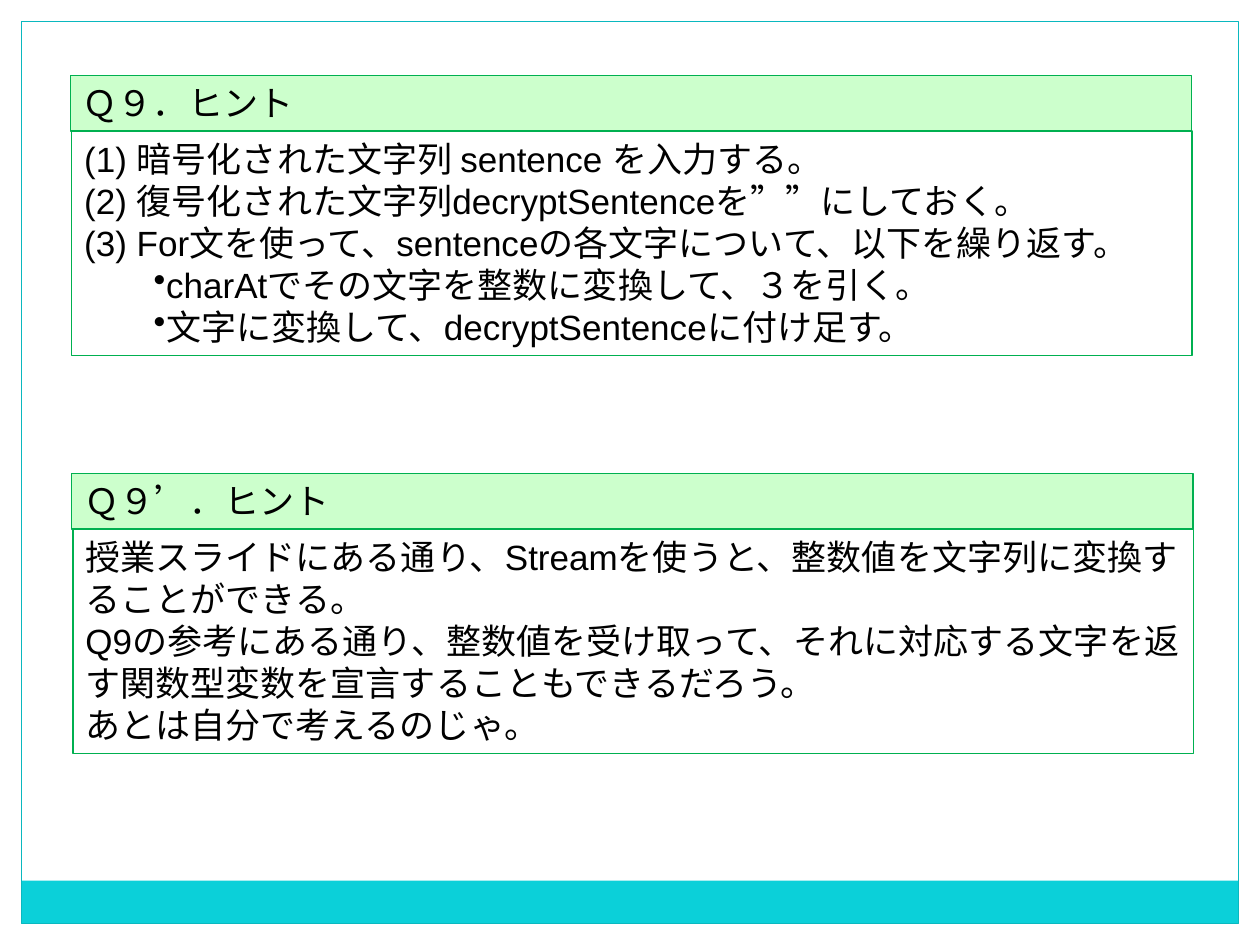
from dataclasses import dataclass

from lxml import etree
from pptx import Presentation
from pptx.dml.color import RGBColor
from pptx.enum.shapes import MSO_SHAPE
from pptx.enum.text import MSO_ANCHOR, PP_ALIGN
from pptx.oxml.ns import qn
from pptx.util import Inches, Pt

RECTANGLE = MSO_SHAPE.RECTANGLE
TOP = MSO_ANCHOR.TOP
LEFT = PP_ALIGN.LEFT


@dataclass(frozen=True)
class Theme:
    font: str = "Arial"
    size: int = 20
    text: str = "000000"
    band: str = "0BD0D9"
    frame: str = "0AB8BF"
    heading: str = "CCFFCC"
    border: str = "00B050"
    line_width: float = 0.75


THEME = Theme()

# Each line is (indent level, text); level 1 lines carry a bullet.
HINTS = [
    {
        "heading": "Ｑ９．ヒント",
        "left": 0.56,
        "top": 0.6,
        "lines": [
            (0, "(1) 暗号化された文字列 sentence を入力する。"),
            (0, "(2) 復号化された文字列decryptSentenceを””にしておく。"),
            (0, "(3) For文を使って、sentenceの各文字について、以下を繰り返す。"),
            (1, "charAtでその文字を整数に変換して、３を引く。"),
            (1, "文字に変換して、decryptSentenceに付け足す。"),
        ],
    },
    {
        "heading": "Ｑ９’．ヒント",
        "left": 0.57,
        "top": 3.76,
        "lines": [
            (0, "授業スライドにある通り、Streamを使うと、整数値を文字列に変換することができる。"),
            (0, "Q9の参考にある通り、整数値を受け取って、それに対応する文字を"
                "返す関数型変数を宣言することもできるだろう。"),
            (0, "あとは自分で考えるのじゃ。"),
        ],
    },
]

SLIDE_WIDTH, SLIDE_HEIGHT = 10, 7.5
MARGIN = 0.17
BAND_HEIGHT = 0.34
HINT_WIDTH = 8.9
HEADING_HEIGHT, BODY_HEIGHT = 0.44, 1.78
BULLET_INDENT, BULLET_GAP = 0.65, 0.1


def add_box(slide, left, top, width, height, fill=None, line=None):
    shape = slide.shapes.add_shape(
        RECTANGLE, Inches(left), Inches(top), Inches(width), Inches(height))
    shape.shadow.inherit = False
    if fill:
        shape.fill.solid()
        shape.fill.fore_color.rgb = RGBColor.from_string(fill)
    else:
        shape.fill.background()
    if line:
        shape.line.color.rgb = RGBColor.from_string(line)
        shape.line.width = Pt(THEME.line_width)
    else:
        shape.line.fill.background()
    return shape


def add_bullet(paragraph):
    properties = paragraph._p.get_or_add_pPr()
    properties.set("marL", str(Inches(BULLET_INDENT)))
    properties.set("indent", str(-Inches(BULLET_GAP)))
    etree.SubElement(properties, qn("a:buChar"), char="•")


def write_lines(shape, lines):
    frame = shape.text_frame
    frame.word_wrap = True
    frame.vertical_anchor = TOP
    for index, (level, text) in enumerate(lines):
        paragraph = frame.add_paragraph() if index else frame.paragraphs[0]
        paragraph.alignment = LEFT
        if level:
            add_bullet(paragraph)
        run = paragraph.add_run()
        run.text = text
        for name, value in {"name": THEME.font, "size": Pt(THEME.size)}.items():
            setattr(run.font, name, value)
        run.font.color.rgb = RGBColor.from_string(THEME.text)


def add_hint(slide, hint):
    left, top = hint["left"], hint["top"]
    heading = add_box(slide, left, top, HINT_WIDTH, HEADING_HEIGHT,
                      THEME.heading, THEME.border)
    write_lines(heading, [(0, hint["heading"])])
    body = add_box(slide, left + 0.01, top + HEADING_HEIGHT,
                   HINT_WIDTH - 0.01, BODY_HEIGHT, line=THEME.border)
    write_lines(body, hint["lines"])


def main():
    presentation = Presentation()
    presentation.slide_width = Inches(SLIDE_WIDTH)
    presentation.slide_height = Inches(SLIDE_HEIGHT)
    blank_layout = presentation.slide_layouts[6]
    slide = presentation.slides.add_slide(blank_layout)

    frame_width = SLIDE_WIDTH - 2 * MARGIN
    frame_height = SLIDE_HEIGHT - 2 * MARGIN
    band_top = SLIDE_HEIGHT - MARGIN - BAND_HEIGHT
    add_box(slide, MARGIN, band_top, frame_width, BAND_HEIGHT, THEME.band)
    add_box(slide, MARGIN, MARGIN, frame_width, frame_height, line=THEME.frame)
    for hint in HINTS:
        add_hint(slide, hint)
    presentation.save("out.pptx")


if __name__ == "__main__":
    main()
